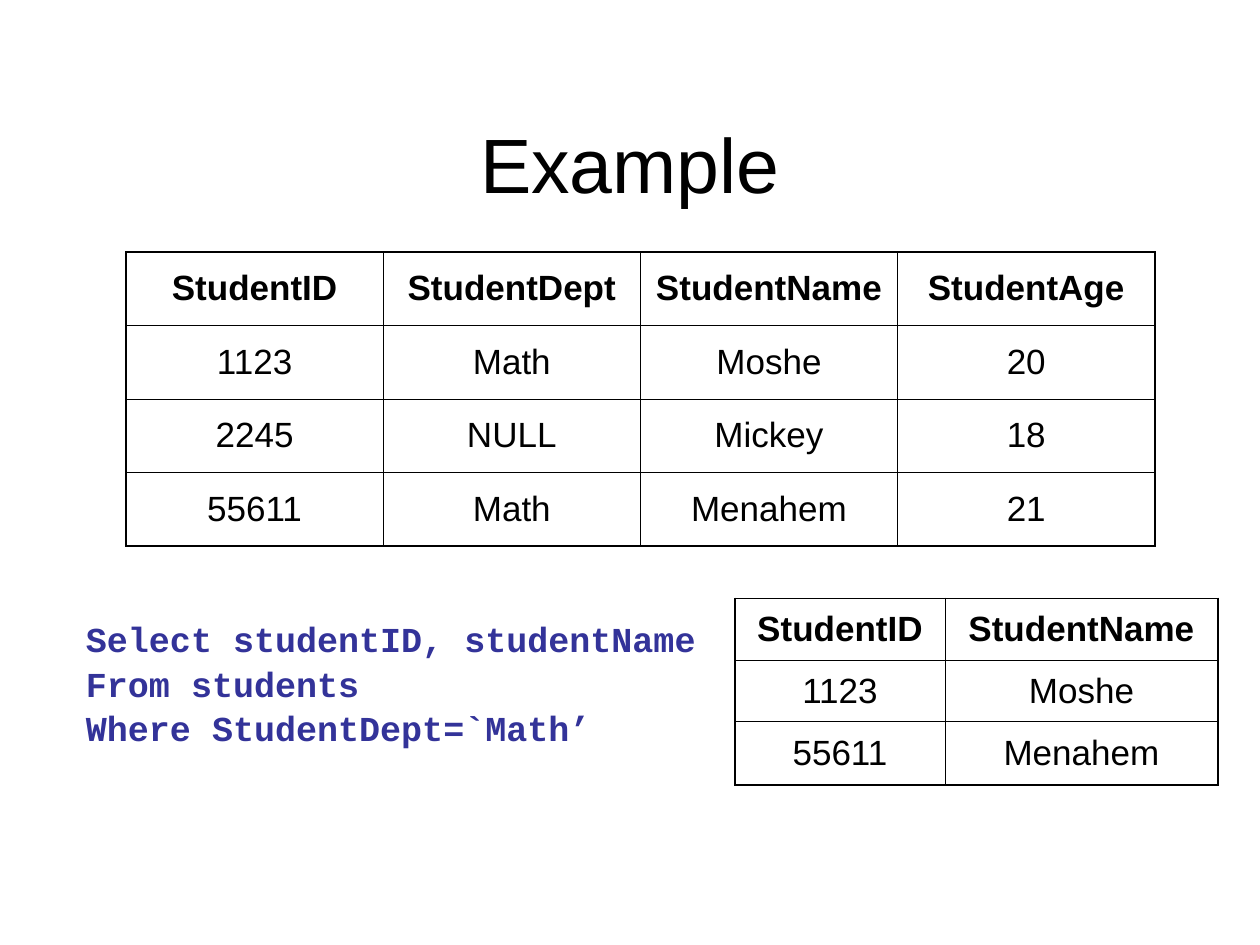
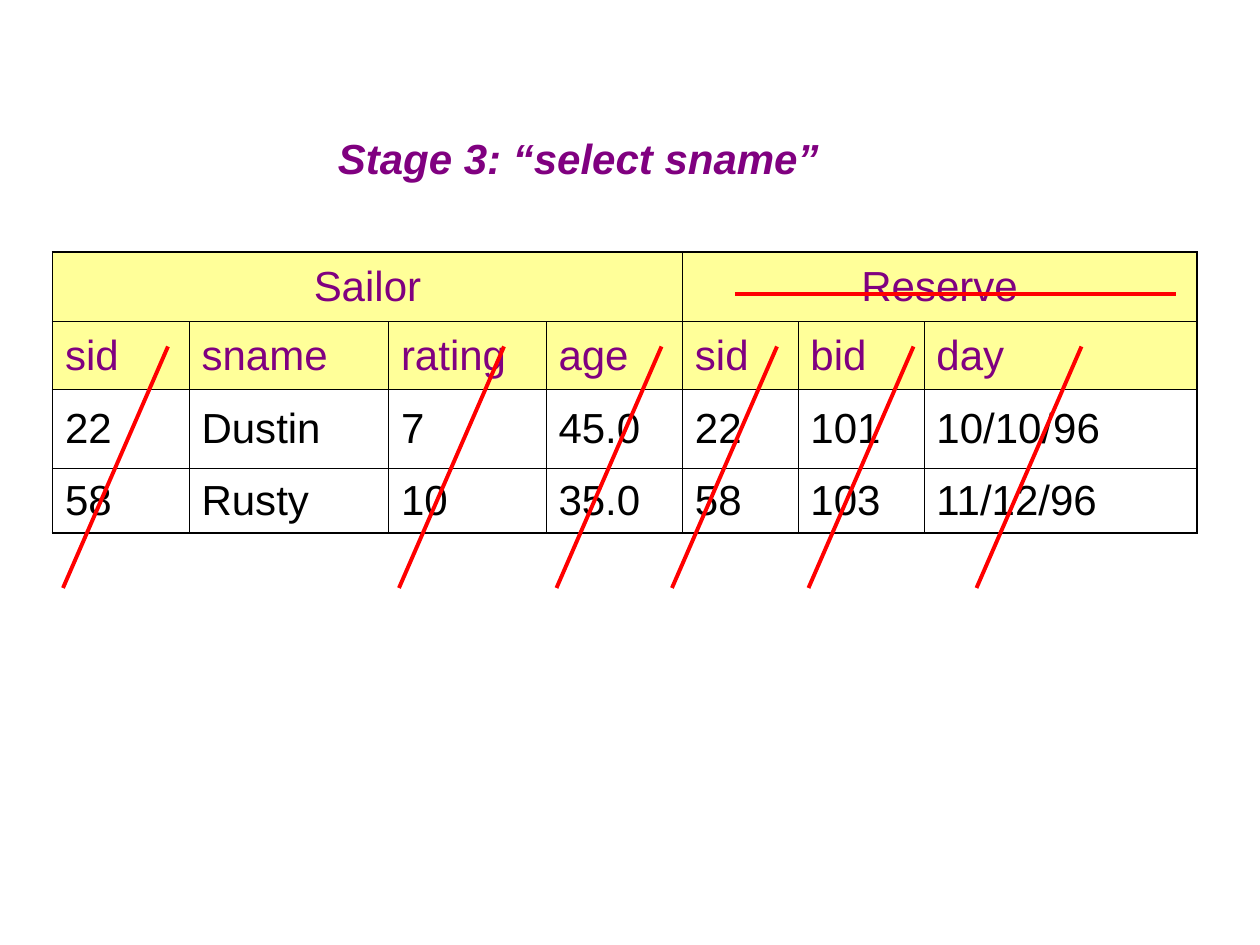
from dataclasses import dataclass
from itertools import accumulate

from lxml.etree import SubElement
from pptx import Presentation
from pptx.dml.color import RGBColor
from pptx.enum.shapes import MSO_CONNECTOR
from pptx.enum.text import MSO_ANCHOR, PP_ALIGN
from pptx.oxml.ns import qn
from pptx.util import Pt

PX = 9525  # 96 px to the inch


@dataclass(frozen=True)
class Theme:
    black: str = "000000"
    purple: str = "800080"
    code_blue: str = "333399"
    header_yellow: str = "FFFF99"
    strike_red: str = "FF0000"
    font: str = "Arial"
    code_font: str = "Courier New"
    title: int = 44
    large: int = 24
    body: int = 20
    outer_line: float = 1.08
    inner_line: float = 0.45
    strike_line: float = 2.25


T = Theme()


def rgb(color):
    return RGBColor.from_string(color)


def px(*lengths):
    return [length * PX for length in lengths]


def style(font, size, color=T.black, name=T.font, bold=False, italic=False):
    font.size, font.name = Pt(size), name
    font.bold, font.italic = bold, italic
    font.color.rgb = rgb(color)


def add_text(slide, box, lines, anchor=MSO_ANCHOR.TOP, align=PP_ALIGN.LEFT,
             spacing=None, **look):
    """Add one paragraph whose lines are parted by line breaks."""
    tf = slide.shapes.add_textbox(*px(*box)).text_frame
    tf.word_wrap = True
    tf.vertical_anchor = anchor
    p = tf.paragraphs[0]
    p.alignment = align
    p.line_spacing = spacing
    style(p.font, **look)
    for i, line in enumerate(lines):
        if i:
            p.add_line_break()
        r = p.add_run()
        r.text = line
        style(r.font, **look)


def set_borders(cell, outer_sides):
    """Draw all four sides, heavier where the cell meets the table's edge."""
    tc_pr = cell._tc.get_or_add_tcPr()
    for side in "LRTB":
        width = T.outer_line if side in outer_sides else T.inner_line
        ln = SubElement(tc_pr, qn(f"a:ln{side}"), w=str(Pt(width)))
        fill = SubElement(ln, qn("a:solidFill"))
        SubElement(fill, qn("a:srgbClr"), val=T.black)


def add_grid(slide, origin, col_widths, row_heights, rows, cell_look, merges=()):
    """Add a table; cell_look(row) gives alignment, fill and font settings."""
    size = sum(col_widths), sum(row_heights)
    table = slide.shapes.add_table(
        len(rows), len(col_widths), *px(*origin, *size)).table
    table.first_row = table.horz_banding = False
    for col, width in zip(table.columns, col_widths):
        col.width = width * PX
    for row, height in zip(table.rows, row_heights):
        row.height = height * PX
    for row, first, last in merges:
        table.cell(row, first).merge(table.cell(row, last))

    for i, texts in enumerate(rows):
        align, fill, look = cell_look(i)
        for j, text in enumerate(texts):
            cell = table.cell(i, j)
            if cell.is_spanned:
                continue
            last = j + (cell.span_width if cell.is_merge_origin else 1)
            edges = {"L": j == 0, "R": last == len(col_widths),
                     "T": i == 0, "B": i == len(rows) - 1}
            set_borders(cell, [side for side, outer in edges.items() if outer])
            if fill:
                cell.fill.solid()
                cell.fill.fore_color.rgb = rgb(fill)
            else:
                cell.fill.background()
            cell.vertical_anchor = MSO_ANCHOR.MIDDLE
            p = cell.text_frame.paragraphs[0]
            p.alignment = align
            r = p.add_run()
            r.text = text
            style(r.font, **look)
    return table


def add_strike(slide, x1, y1, x2, y2):
    line = slide.shapes.add_connector(
        MSO_CONNECTOR.STRAIGHT, *px(x1, y1, x2, y2))
    line.line.color.rgb = rgb(T.strike_red)
    line.line.width = Pt(T.strike_line)
    SubElement(line._element.spPr, qn("a:effectLst"))


def student_look(row):
    return PP_ALIGN.CENTER, None, dict(size=T.body, bold=row == 0)


def example_slide(slide):
    students = [
        ("StudentID", "StudentDept", "StudentName", "StudentAge"),
        ("1123", "Math", "Moshe", "20"),
        ("2245", "NULL", "Mickey", "18"),
        ("55611", "Math", "Menahem", "21"),
    ]
    selected = [(row[0], row[2]) for row in students if row[1] in ("StudentDept", "Math")]
    add_grid(slide, (96, 192), [196] * 4, [56] * 4, students, student_look)
    add_text(slide, (56, 464, 504, 154),
             ["Select studentID, studentName", "From students",
              "Where StudentDept=`Math’"],
             spacing=1.06, size=T.body, color=T.code_blue,
             name=T.code_font, bold=True)
    add_grid(slide, (560, 456), [160, 208], [47, 47, 48], selected, student_look)
    add_text(slide, (72, 64, 816, 120), ["Example"], MSO_ANCHOR.MIDDLE,
             PP_ALIGN.CENTER, size=T.title)


def sailor_look(row):
    align = PP_ALIGN.CENTER if row == 0 else PP_ALIGN.LEFT
    if row < 2:
        return align, T.header_yellow, dict(size=T.large, color=T.purple)
    return align, None, dict(size=T.large)


def projection_slide(slide):
    left, top = 40, 192
    col_widths = [104, 152, 120, 104, 88, 96, 208]
    rows = [
        ("Sailor", "", "", "", "Reserve", "", ""),
        ("sid", "sname", "rating", "age", "sid", "bid", "day"),
        ("22", "Dustin", "7", "45.0", "22", "101", "10/10/96"),
        ("58", "Rusty", "10", "35.0", "58", "103", "11/12/96"),
    ]
    add_grid(slide, (left, top), col_widths, [53, 52, 60, 49], rows,
             sailor_look, merges=[(0, 0, 3), (0, 4, 6)])
    add_text(slide, (248, 96, 680, 48), ["Stage 3: “select sname”"],
             size=T.large, color=T.purple, bold=True, italic=True)

    col_lefts = list(accumulate(col_widths, initial=left))
    strike_offsets = {0: 8, 2: 8, 3: 8, 4: -8, 5: 8, 6: 40}
    for col, offset in strike_offsets.items():
        x = col_lefts[col] + offset
        add_strike(slide, x, top + 256, x + 80, top + 72)
    reserve_left = col_lefts[4] + 40
    add_strike(slide, reserve_left, top + 32, reserve_left + 336, top + 32)


def main():
    prs = Presentation()
    prs.slide_width, prs.slide_height = px(960, 720)
    for build in (example_slide, projection_slide):
        build(prs.slides.add_slide(prs.slide_layouts[6]))
    prs.save("out.pptx")


if __name__ == "__main__":
    main()
